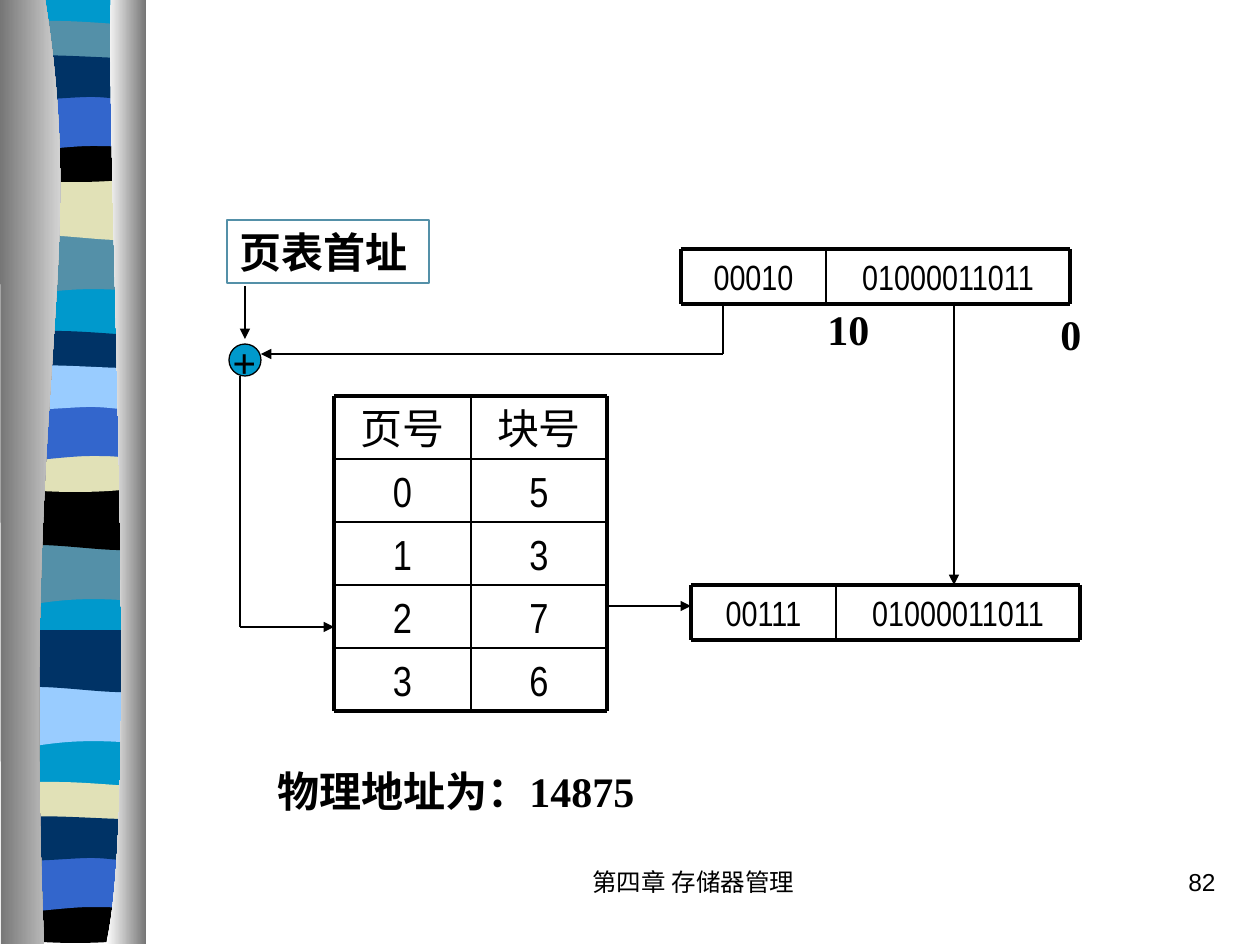
from itertools import accumulate

from lxml.etree import SubElement
from pptx import Presentation
from pptx.dml.color import RGBColor
from pptx.enum.shapes import MSO_CONNECTOR, MSO_SHAPE
from pptx.enum.text import MSO_ANCHOR, PP_ALIGN
from pptx.oxml.ns import qn
from pptx.util import Pt

EMU_PER_PIXEL = 914400 / 126
BLACK, TEAL, CYAN, NAVY = "000000", "5490A8", "0099CC", "003366"
BLUE, CREAM, SKY = "3366CC", "E1E1B7", "99CCFF"
GRAY, WHITE = "767676", "FFFFFF"
STRIP = [(144, -1), (144, 941), (7, 941), (7, -1)]
BANDS = [
    [(144, 233), (144, 292), (49, 282, 30, 302, 7, 292), (7, 233)],
    [(144, 178), (144, 237), (121, 247, 49, 229, 7, 237), (7, 178)],
    [(144, 26), (144, 57), (121, 62, 30, 62, 7, 57), (7, 26),
     (15, 20, 37, 21, 59, 21), (82, 21, 126, 25, 144, 26)],
    [(144, 136), (144, 176), (121, 184, 30, 184, 7, 176), (7, 136),
     (91, 142, 115, 136, 144, 136)],
    [(144, 93), (144, 152), (122, 146, 113, 146, 91, 146),
     (68, 146, 28, 152, 7, 152), (7, 93)],
    [(144, 58), (144, 97), (135, 103, 113, 97, 91, 97),
     (68, 97, 21, 103, 7, 97), (7, 58), (26, 52, 100, 58, 122, 58)],
]
BAND_SETS = [
    ((TEAL, CREAM, TEAL, BLACK, BLUE, NAVY), (0, 0, 0, 0, 0, 0)),
    ((TEAL, BLACK, NAVY, CREAM, BLUE, SKY), (310, 310, 310, 310, 310, 310)),
    ((SKY, NAVY, CREAM, BLACK, BLUE, NAVY), (452, 452, 761, 761, 761, 761)),
]
LEFT_PILLAR = [(45, -1), (89, 272, 21, 373, 44, 944), (1, 944), (0, -1)]
RIGHT_PILLAR = [(111, -1), (106, 158, 140, 814, 106, 944), (146, 944), (146, 0)]
LABEL_FONT = {"name": "Times New Roman", "size": Pt(24), "bold": True}
FOOTER_FONT = {"name": "Arial", "size": Pt(14)}


def px(length):
    """Turn pixels into EMU."""
    return round(length * EMU_PER_PIXEL)


def color(value):
    """Turn a hex string into a colour."""
    return RGBColor.from_string(value)


def add_outline(slide, segments, drop=0):
    """Add a closed outline; six-number segments are cubic curves."""
    points = [(segment[i], segment[i + 1] + drop)
              for segment in segments for i in range(0, len(segment), 2)]
    builder = slide.shapes.build_freeform(*points[0], scale=EMU_PER_PIXEL)
    builder.add_line_segments(points[1:], close=True)
    shape = builder.convert_to_shape()
    shape.shadow.inherit = False
    shape.line.fill.background()
    nodes = iter(list(shape._element.iter(qn("a:lnTo"))))
    for segment in segments[1:]:
        node = next(nodes)
        if len(segment) == 6:
            node.tag = qn("a:cubicBezTo")
            for extra in (next(nodes), next(nodes)):
                node.append(extra[0])
                extra.getparent().remove(extra)
    return shape


def fill_shape(shape, value):
    """Fill a shape with one colour."""
    shape.fill.solid()
    shape.fill.fore_color.rgb = color(value)


def add_ribbon(slide):
    """Add the strip and its repeated wavy bands."""
    fill_shape(add_outline(slide, STRIP), CYAN)
    for fills, drops in BAND_SETS:
        for band, fill, drop in zip(BANDS, fills, drops):
            fill_shape(add_outline(slide, band, drop), fill)


def add_pillar(slide, segments, shades):
    """Add a gradient pillar with one curved side."""
    shape = add_outline(slide, segments)
    shape.fill.gradient()
    shape.fill.gradient_angle = 0
    for stop, shade in zip(shape.fill.gradient_stops, shades):
        stop.color.rgb = color(shade)


def write_text(frame, text, font, align=PP_ALIGN.LEFT):
    """Write one formatted paragraph."""
    paragraph = frame.paragraphs[0]
    paragraph.text = text
    paragraph.alignment = align
    for name, value in font.items():
        setattr(paragraph.font, name, value)
    paragraph.font.color.rgb = color(BLACK)


def add_label(slide, text, box, font=LABEL_FONT, align=PP_ALIGN.LEFT, wrap=False):
    """Add a text box."""
    frame = slide.shapes.add_textbox(*map(px, box)).text_frame
    frame.word_wrap = wrap
    write_text(frame, text, font, align)


def add_node(slide, kind, box, line, fill=None):
    """Add a thinly outlined preset shape."""
    shape = slide.shapes.add_shape(kind, *map(px, box))
    shape.shadow.inherit = False
    if fill:
        fill_shape(shape, fill)
    else:
        shape.fill.background()
    shape.line.color.rgb = color(line)
    shape.line.width = Pt(0.75)
    return shape


def add_line(slide, start, end, width=0.75, arrow=False):
    """Add a straight line, with an arrowhead at its end if wanted."""
    connector = slide.shapes.add_connector(
        MSO_CONNECTOR.STRAIGHT, *map(px, start + end))
    connector.line.color.rgb = color(BLACK)
    connector.line.width = Pt(width)
    if arrow:
        SubElement(connector.line._get_or_add_ln(), qn("a:tailEnd"), type="triangle")
    SubElement(connector._element.spPr, qn("a:effectLst"))


def add_grid(slide, left, top, widths, height, rows, size):
    """Add centred cell texts ruled by thick outer and thin inner lines."""
    columns = list(accumulate(widths, initial=left))
    levels = [top + height * i for i in range(len(rows) + 1)]
    font = {"name": "Arial Narrow", "size": Pt(size)}
    for level, values in zip(levels, rows):
        for x, width, value in zip(columns, widths, values):
            add_label(slide, value, (x, level, width, height), font, PP_ALIGN.CENTER, True)
    for level in levels:
        weight = 2.25 if level in (levels[0], levels[-1]) else 1
        add_line(slide, (left, level), (columns[-1], level), weight)
    for x in columns:
        weight = 2.25 if x in (columns[0], columns[-1]) else 1
        add_line(slide, (x, top), (x, levels[-1]), weight)


def main():
    """Build the address translation slide."""
    presentation = Presentation()
    presentation.slide_width, presentation.slide_height = px(1260), px(945)
    slide = presentation.slides.add_slide(presentation.slide_layouts[6])

    add_ribbon(slide)
    add_pillar(slide, LEFT_PILLAR, (GRAY, WHITE))
    add_pillar(slide, RIGHT_PILLAR, (WHITE, GRAY))

    page_rows = [("页号", "块号"), ("0", "5"), ("1", "3"), ("2", "7"), ("3", "6")]
    add_grid(slide, 334, 396, (137, 136), 63, page_rows, 24)
    for left, top, page in ((681, 249, "00010"), (691, 585, "00111")):
        add_grid(slide, left, top, (145, 244), 55, [(page, "01000011011")], 20)

    base = add_node(slide, MSO_SHAPE.RECTANGLE, (227, 220, 202, 63), TEAL)
    base.text_frame.vertical_anchor = MSO_ANCHOR.TOP
    write_text(base.text_frame, "页表首址", LABEL_FONT)
    add_node(slide, MSO_SHAPE.OVAL, (229, 344, 32, 32), BLACK, CYAN)

    add_line(slide, (245, 286), (245, 339), arrow=True)
    add_line(slide, (723, 302), (723, 354))
    add_line(slide, (723, 354), (261, 354), arrow=True)
    add_line(slide, (240, 376), (240, 627))
    add_line(slide, (240, 627), (334, 627), arrow=True)
    add_line(slide, (607, 606), (691, 606), arrow=True)
    add_line(slide, (954, 302), (954, 585), arrow=True)

    add_label(slide, "+", (220, 330, 49, 63))
    add_label(slide, "10", (815, 297, 67, 63))
    add_label(slide, "0", (1048, 302, 45, 63))
    add_label(slide, "物理地址为：14875", (265, 759, 392, 63))
    add_label(slide, "第四章 存储器管理", (494, 861, 399, 63), FOOTER_FONT, PP_ALIGN.CENTER, True)
    add_label(slide, "82", (966, 861, 262, 63), FOOTER_FONT, PP_ALIGN.RIGHT, True)
    presentation.save("out.pptx")


if __name__ == "__main__":
    main()
